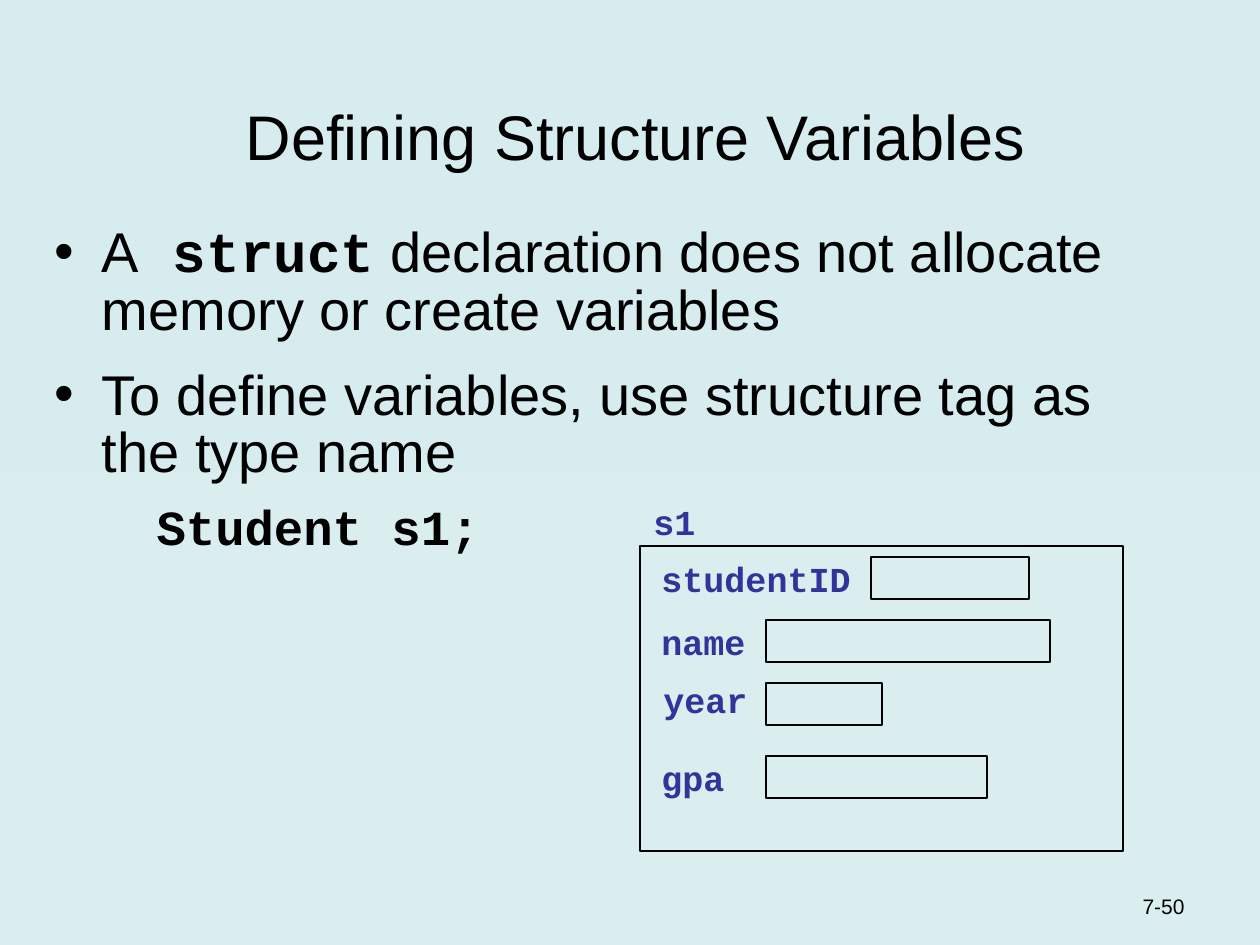
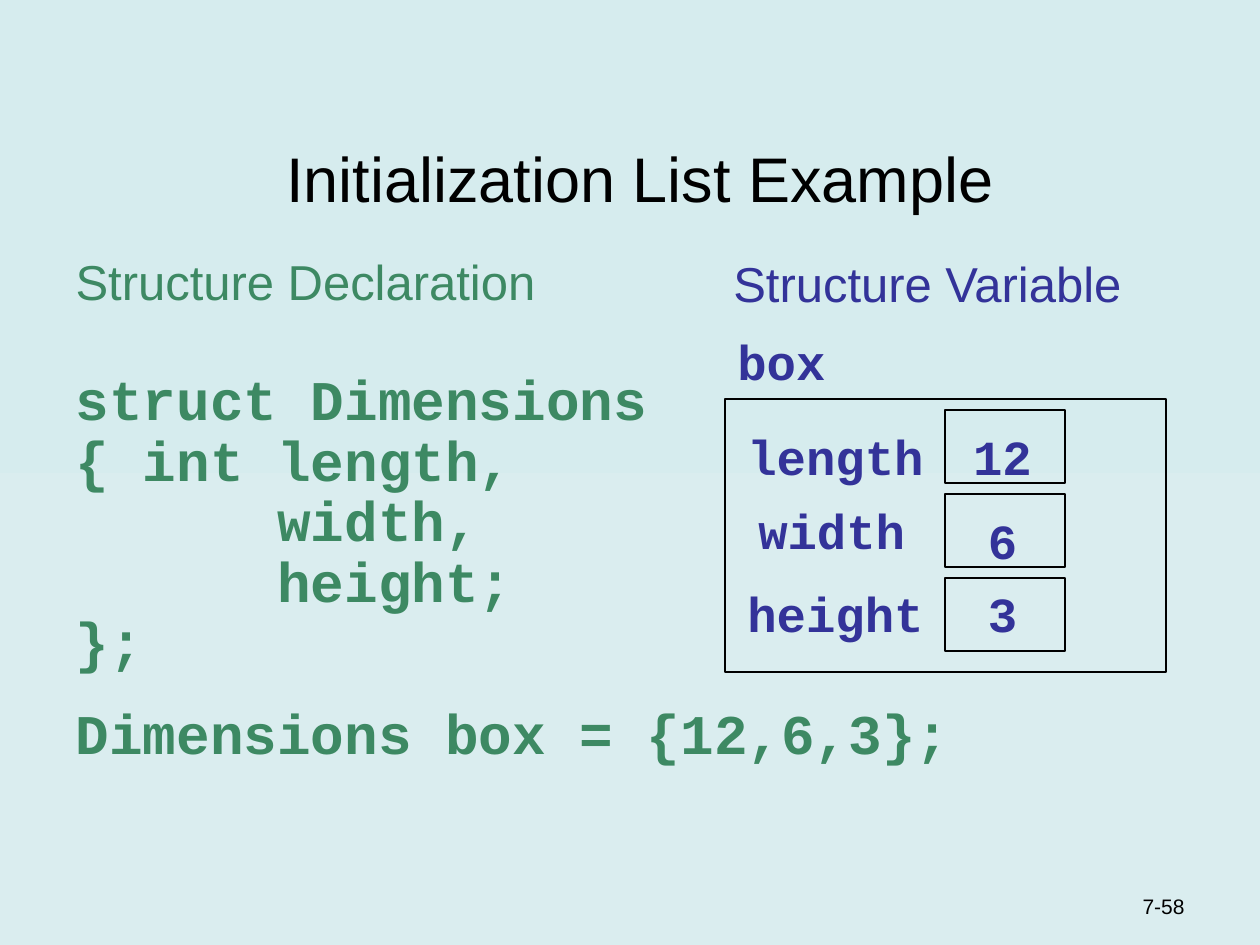
"""Build two slides on defining and initializing structure variables."""
from pptx import Presentation
from pptx.dml.color import RGBColor
from pptx.enum.shapes import MSO_SHAPE as SHAPE
from pptx.enum.text import MSO_ANCHOR as ANCHOR, MSO_AUTO_SIZE as AUTO, PP_ALIGN as ALIGN
from pptx.oxml.ns import qn
from pptx.util import Emu, Pt

PX = 914400 / 126
BLACK = RGBColor(0x00, 0x00, 0x00)
GREEN = RGBColor(0x3D, 0x89, 0x63)
INDIGO = RGBColor(0x33, 0x33, 0x99)
BG_BOTTOM = RGBColor(0xDA, 0xED, 0xEF)
BG_TOP = RGBColor(0xD6, 0xEC, 0xEE)
SANS, MONO = "Arial", "Courier New"

BODY = dict(name=SANS, size=Pt(32), bold=False, color=BLACK)
KEYWORD = BODY | dict(name=MONO, bold=True)
STATEMENT = KEYWORD | dict(size=Pt(28))
CODE = KEYWORD | dict(color=GREEN)
HEAD_LEFT = BODY | dict(size=Pt(28), color=GREEN)
HEAD_RIGHT = HEAD_LEFT | dict(color=INDIGO)
TITLE = BODY | dict(size=Pt(36))
NUMBER = BODY | dict(size=Pt(12))

BULLET = dict(line_spacing=0.85, space_before=Pt(16))
LISTING = dict(line_spacing=0.9, space_before=Pt(0))

SLIDES = [
    dict(
        title="Defining Structure Variables", title_box=(42, 42, 1187, 137), number="7-50",
        body_box=(42, 221, 1143, 630),
        body=[
            (BULLET | dict(space_before=Pt(0)), None, [
                ("A", BODY), (" struct", KEYWORD),
                (" declaration does not allocate memory or create variables", BODY)]),
            (BULLET, None, [("To define variables, use structure tag as the type name", BODY)]),
            (dict(line_spacing=1.0, space_before=Pt(7)), 102, [("Student s1;", STATEMENT)]),
        ],
        side_heads=[],
        frame=(640, 546, 483, 305), label_size=20,
        labels=[("s1", 641, 494), ("studentID", 649, 551), ("name", 649, 614),
                ("year", 651, 672), ("gpa", 649, 750)],
        cells=[(871, 557, 158, 42), (766, 620, 284, 42), (766, 683, 116, 42),
               (766, 756, 221, 42)],
        values=[],
    ),
    dict(
        title="Initialization List Example", title_box=(73, 84, 1134, 137), number="7-58",
        body_box=(63, 252, 1113, 599),
        body=[
            (LISTING, 0, [("Structure Declaration", HEAD_LEFT)]),
            (LISTING | dict(space_before=Pt(35)), 0, [("struct Dimensions", CODE)]),
            (LISTING, 0, [("{ int length,", CODE)]),
            (LISTING, 0, [("      width,", CODE)]),
            (LISTING, 0, [("      height;", CODE)]),
            (LISTING, 0, [("};", CODE)]),
            (dict(line_spacing=0.95, space_before=Pt(16)), 0,
             [("Dimensions box = {12,6,3};", CODE)]),
        ],
        side_heads=[("Structure Variable", (721, 247, 450, 72))],
        frame=(725, 399, 441, 273), label_size=28,
        labels=[("box", 725, 325), ("length", 735, 420), ("width", 746, 494),
                ("height", 735, 577)],
        cells=[(945, 410 + 84 * i, 120, 73) for i in range(3)],
        values=[("12", 420), ("6", 504), ("3", 577)],
    ),
]
VALUE_X, VALUE_W = 955, 95


def px(*lengths):
    return [Emu(round(n * PX)) for n in lengths]


def place(sp, box):
    sp.left, sp.top, sp.width, sp.height = px(*box)


def add_runs(p, runs):
    for text, style in runs:
        r = p.add_run()
        r.text = text
        for key, value in style.items():
            if key == "color":
                r.font.color.rgb = value
            else:
                setattr(r.font, key, value)


def drop_bullet(p, left):
    pPr = p._p.get_or_add_pPr()
    pPr.set("marL", str(px(left)[0]))
    pPr.set("indent", "0")
    pPr.append(pPr.makeelement(qn("a:buNone"), {}))


def add_text(shapes, text, box, style, align=ALIGN.LEFT, anchor=ANCHOR.TOP):
    tf = shapes.add_textbox(*px(*box)).text_frame
    tf.word_wrap, tf.vertical_anchor = True, anchor
    tf.paragraphs[0].alignment = align
    add_runs(tf.paragraphs[0], [(text, style)])


def add_box(shapes, box):
    sp = shapes.add_shape(SHAPE.RECTANGLE, *px(*box))
    sp.shadow.inherit = False
    sp.fill.background()
    sp.line.color.rgb = BLACK
    sp.line.width = Pt(0.75)


def add_title(s, text, box):
    place(s.shapes.title, box)
    tf = s.shapes.title.text_frame
    tf.auto_size, tf.vertical_anchor = AUTO.NONE, ANCHOR.BOTTOM
    tf.paragraphs[0].alignment = ALIGN.CENTER
    add_runs(tf.paragraphs[0], [(text, TITLE)])


def add_body(s, content):
    sp = s.placeholders[1]
    place(sp, content["body_box"])
    tf = sp.text_frame
    tf.auto_size, tf.margin_right = AUTO.NONE, 0
    for i, (spacing, left, runs) in enumerate(content["body"]):
        p = tf.add_paragraph() if i else tf.paragraphs[0]
        if left is not None:
            drop_bullet(p, left)
        for key, value in spacing.items():
            setattr(p, key, value)
        add_runs(p, runs)


def add_diagram(s, content):
    shapes = s.shapes.add_group_shape().shapes
    for box in [content["frame"], *content["cells"]]:
        add_box(shapes, box)
    size = content["label_size"]
    style = KEYWORD | dict(size=Pt(size), color=INDIGO)
    height = round(size * 2.1) + 13
    for text, x, y in content["labels"]:
        width = round(len(text) * size * 1.05) + 32
        add_text(shapes, text, (x, y, width, height), style)
    for text, y in content["values"]:
        add_text(shapes, text, (VALUE_X, y, VALUE_W, height), style, ALIGN.CENTER)


def main():
    prs = Presentation()
    prs.slide_width, prs.slide_height = px(1260, 945)
    fill = prs.slide_master.background.fill
    fill.gradient()
    fill.gradient_angle = 90
    for stop, color, position in zip(fill.gradient_stops, (BG_BOTTOM, BG_TOP), (0, 1)):
        stop.color.rgb, stop.position = color, position
    for content in SLIDES:
        s = prs.slides.add_slide(prs.slide_layouts[1])
        add_title(s, content["title"], content["title_box"])
        add_body(s, content)
        for text, box in content["side_heads"]:
            add_text(s.shapes, text, box, HEAD_RIGHT)
        add_text(s.shapes, content["number"], (935, 862, 262, 63), NUMBER,
                 ALIGN.RIGHT, ANCHOR.BOTTOM)
        add_diagram(s, content)
    prs.save("out.pptx")


if __name__ == "__main__":
    main()
